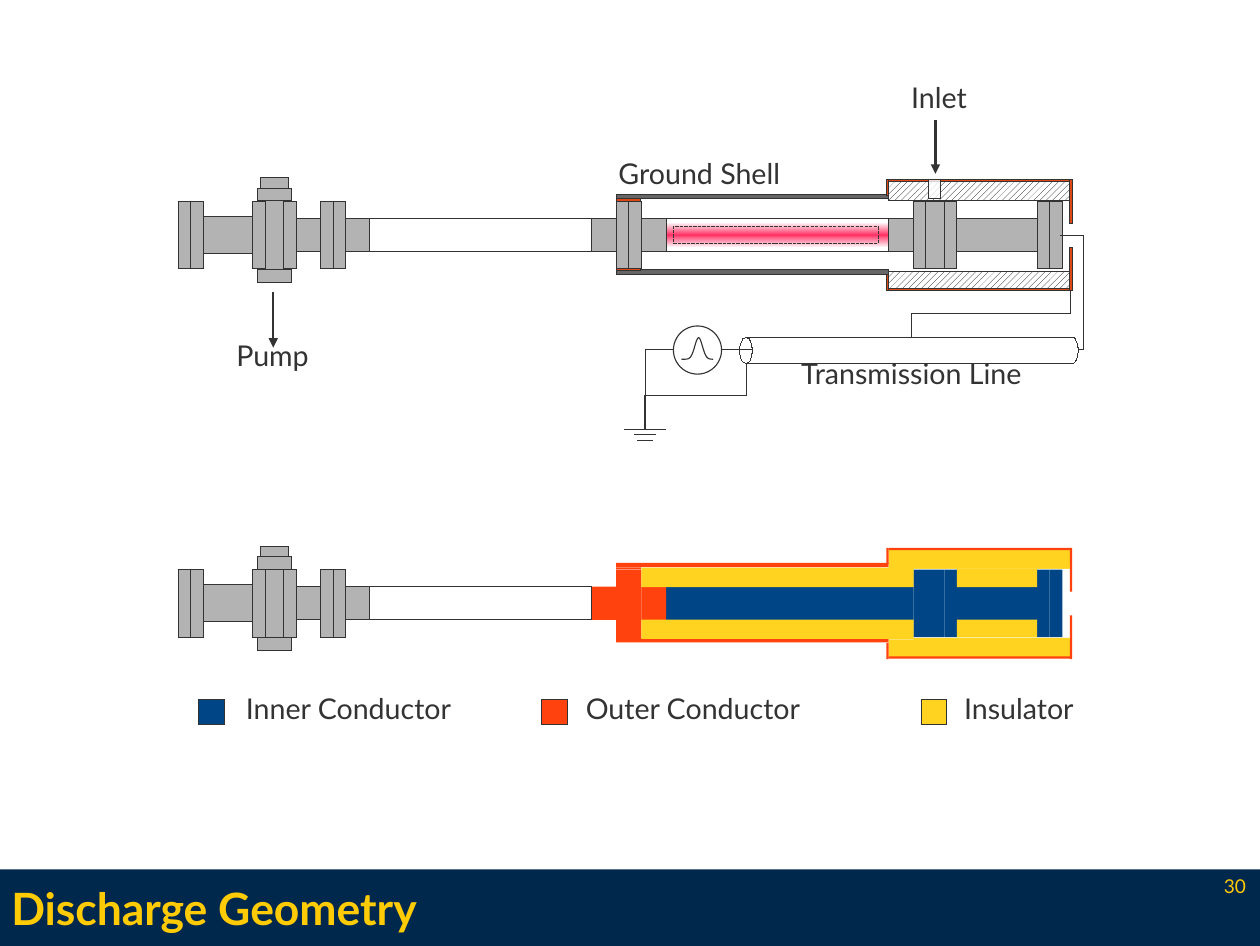
"""Draw the discharge geometry slide: tube, circuit and conductor map."""
import copy
import math
import pptx
import pptx.util
import pptx.dml.color
import pptx.enum.dml
import pptx.enum.shapes
import pptx.enum.text
from lxml import etree
from pptx.oxml.ns import qn

Cm, Pt = pptx.util.Cm, pptx.util.Pt
Rgb = pptx.dml.color.RGBColor.from_string
Kind = pptx.enum.shapes.MSO_SHAPE
Link = pptx.enum.shapes.MSO_CONNECTOR
Align = pptx.enum.text.PP_ALIGN
theme = dict(font="Lato", head=28, text=18, small=12, thin=0.71, bold=1.45,
             navy="00274C", gold="FFCB05", ink="333333", white="FFFFFF",
             steel="B3B3B3", shell="666666", rim="DD4814", glow="FF3366",
             inner="004586", outer="FF420E", fill="FFD320", black="000000")

deck = pptx.Presentation()
deck.slide_width, deck.slide_height = Cm(27.99), Cm(21.01)
slide = deck.slides.add_slide(deck.slide_layouts[5])
shapes = slide.shapes


def block(x, y, w, h, hue=None, edge=0, kind=Kind.RECTANGLE):
    shape = shapes.add_shape(kind, Cm(x), Cm(y), Cm(w), Cm(h))
    shape.shadow.inherit = False
    if hue:
        shape.fill.solid()
        shape.fill.fore_color.rgb = Rgb(theme[hue])
    else:
        shape.fill.background()
    if edge is None:
        shape.line.fill.background()
    else:
        shape.line.color.rgb = Rgb(theme["ink"])
        shape.line.width = Pt(edge)
    return shape


def label(text, x, y, w, h=1.42, align=Align.LEFT, size="text", hue="ink", pad=True):
    box = shapes.add_textbox(Cm(x), Cm(y), Cm(w), Cm(h))
    frame = box.text_frame
    frame.word_wrap = True
    if not pad:
        frame.margin_left = frame.margin_right = frame.margin_top = frame.margin_bottom = 0
    para = frame.paragraphs[0]
    para.text, para.alignment = text, align
    para.font.name, para.font.size = theme["font"], Pt(theme[size])
    para.font.color.rgb = Rgb(theme[hue])


band = block(0, 19.31, 27.99, 1.7, "navy", None)
shapes.element.insert(2, band.element)
title = shapes.title
title.left, title.top, title.width, title.height = Cm(0.25), Cm(19.31), Cm(23.11), Cm(1.7)
frame = title.text_frame
frame.margin_left = frame.margin_right = frame.margin_top = frame.margin_bottom = 0
frame.vertical_anchor = pptx.enum.text.MSO_ANCHOR.MIDDLE
para = frame.paragraphs[0]
para.text, para.alignment = "Discharge Geometry", Align.LEFT
para.font.name, para.font.size, para.font.bold = theme["font"], Pt(theme["head"]), True
para.font.color.rgb = Rgb(theme["gold"])

plasma = block(14.8, 4.85, 4.95, 0.74, "white")
plasma.fill.gradient()
plasma.fill.gradient_angle = 90
ramp = plasma.element.find(".//" + qn("a:gsLst"))
ramp.insert(1, copy.deepcopy(ramp[0]))
for stop, (place, hue) in zip(plasma.fill.gradient_stops,
                              ((0.12, "white"), (0.5, "glow"), (0.88, "white"))):
    stop.position = place
    stop.color.rgb = Rgb(theme[hue])

axis, drop = 5.22, 8.18
tube = (
    ("steel", 0.82, ((4.52, 1.09),)),
    ("steel", 0.74, ((6.58, 0.55), (7.66, 0.55))),
    ("outer", 0.74, ((13.14, 0.55), (14.25, 0.55))),
    ("inner", 0.74, ((19.74, 0.55), (21.26, 1.78))),
    (None, 0.74, ((8.2, 4.95),)),
    ("steel", 1.55, ((5.89, 0.41),)),
    ("steel", 1.5, [(x, 0.28) for x in (3.96, 4.24, 5.61, 6.3, 7.13, 7.4)]),
    ("outer", 1.5, ((13.69, 0.28), (13.97, 0.28))),
    ("inner", 1.5, ((20.29, 0.28), (20.57, 0.41), (20.98, 0.28),
                    (23.04, 0.28), (23.32, 0.28))),
)
stubs = ((5.73, 5.99, 0.74, 0.28), (5.73, 4.18, 0.74, 0.28), (5.79, 3.95, 0.61, 0.23))
shells = ((13.69, 4.32, 6.05, 0.1), (13.69, 5.99, 6.05, 0.1))
rims = ((13.69, 5.97, 0.55, 0.05), (13.69, 4.42, 0.55, 0.05),
        (19.74, 6.4, 4.04, 0.05), (19.74, 3.99, 4.04, 0.05),
        (19.69, 6.1, 0.05, 0.36), (19.69, 3.99, 0.05, 0.36),
        (23.77, 5.49, 0.05, 0.97), (23.77, 3.99, 0.05, 0.97))
for low in (False, True):
    shift = drop if low else 0
    edge = None if low else 0
    if low:
        block(14.8, 4.85 + drop, 4.95, 0.74, "inner", None)
    for role, tall, spans in tube:
        for x, wide in spans:
            hue = role if low or not role else "steel"
            block(x, axis + shift - tall / 2, wide, tall, hue,
                  edge if role in ("inner", "outer") else 0)
    for x, y, w, h in stubs:
        block(x, y + shift, w, h, "steel")
    for x, y, w, h in shells:
        block(x, y + shift, w, h, "outer" if low else "shell", edge)
    for y in (4.04, 6.02):
        ring = block(19.74, y + shift, 4.04, 0.41, "fill", edge)
        if not low:
            ring.fill.patterned()
            ring.fill.pattern = pptx.enum.dml.MSO_PATTERN.WIDE_UPWARD_DIAGONAL
            ring.fill.fore_color.rgb = Rgb(theme["black"])
            ring.fill.back_color.rgb = Rgb(theme["white"])
    for x, y, w, h in rims:
        block(x, y + shift, w, h, "outer" if low else "rim", edge)

for x, gap, w, h in ((14.25, 0.36, 6.05, 0.43), (20.29, 0.77, 3.48, 0.05),
                     (21.26, 0.36, 1.78, 0.4)):
    for y in (axis + drop + gap, axis + drop - gap - h):
        block(x, y, w, h, "fill", None)

vent = block(20.62, 3.99, 0.28, 0.43, "white")
clear = vent.element.spPr.find(".//" + qn("a:srgbClr"))
etree.SubElement(clear, qn("a:alpha"), val="80000")
zone = block(14.96, 5.03, 4.55, 0.38, None, theme["thin"])
zone.line.dash_style = pptx.enum.dml.MSO_LINE.SQUARE_DOT

wires = []
for x, top, end in ((6.07, 6.48, 7.72), (20.78, 2.67, 3.86)):
    wire = shapes.add_connector(Link.STRAIGHT, Cm(x), Cm(top), Cm(x), Cm(end))
    wires.append((wire, theme["bold"], True))
for y, half in ((9.53, 0.46), (9.65, 0.24), (9.78, 0.17)):
    wire = shapes.add_connector(Link.STRAIGHT, Cm(14.33 - half), Cm(y), Cm(14.33 + half), Cm(y))
    wires.append((wire, theme["thin"], False))
for x, y, w, h, turn, flip, bend in (
        (14.33, 7.77, 0.63, 1.76, 180, "V", None),
        (16, 5.23, 7.57, 2.54, 0, "V", 106600),
        (14.73, 7.67, 1.45, 2.26, 90, "HV", 50400),
        (21.51, 5.21, 1.02, 3.53, 90, "HV", 50000)):
    wire = shapes.add_connector(Link.ELBOW, Cm(x), Cm(y), Cm(x + w), Cm(y + h))
    form = wire.element.spPr.find(qn("a:xfrm"))
    form.set("rot", str(turn * 60000))
    for side in flip:
        form.set("flip" + side, "1")
    shape = wire.element.spPr.find(qn("a:prstGeom"))
    if bend:
        guide = shape.find(qn("a:avLst"))
        etree.SubElement(guide, qn("a:gd"), name="adj1", fmla=f"val {bend}")
    else:
        shape.set("prst", "bentConnector2")
    wires.append((wire, 0, False))
for wire, weight, arrow in wires:
    wire.line.color.rgb = Rgb(theme["ink"])
    wire.line.width = Pt(weight)
    if arrow:
        etree.SubElement(wire.element.spPr.find(qn("a:ln")), qn("a:tailEnd"), type="triangle")
    etree.SubElement(wire.element.spPr, qn("a:effectLst"))

block(14.96, 7.24, 1.07, 1.07, "white", theme["thin"], Kind.OVAL)
block(16.43, 7.49, 0.28, 0.58, None, 0, Kind.OVAL)
arc = [math.radians(a) for a in range(-90, 91, 10)]
cable = [(23.82 + 0.13 * math.cos(a), 7.78 + 0.29 * math.sin(a)) for a in arc]
cable += [(16.58 + 0.13 * math.cos(a), 7.78 + 0.29 * math.sin(a)) for a in reversed(arc)]
pulse = [(15.52 + i / 50, 7.98 - 0.48 * math.exp(-(i / 6) ** 2)) for i in range(-19, 17)]
for points, shut, weight in ((cable, True, 0), (pulse, False, theme["thin"])):
    pen = shapes.build_freeform(Cm(points[0][0]), Cm(points[0][1]))
    pen.add_line_segments([(Cm(x), Cm(y)) for x, y in points[1:]], close=shut)
    curve = pen.convert_to_shape()
    curve.shadow.inherit = False
    curve.line.color.rgb = Rgb(theme["ink"])
    curve.line.width = Pt(weight)
    if shut:
        curve.fill.solid()
        curve.fill.fore_color.rgb = Rgb(theme["white"])
    else:
        curve.fill.background()

label("Pump", 5, 7.37, 2.69)
label("Inlet", 19.99, 1.65, 2.21)
label("Ground Shell", 13.49, 3.33, 4.8)
label("Transmission Line", 17.07, 7.77, 6.35, align=Align.CENTER)
for text, x, left, wide, hue in (("Inner Conductor", 4.42, 4.85, 5.79, "inner"),
                                 ("Outer Conductor", 12.04, 12.4, 5.99, "outer"),
                                 ("Insulator", 20.47, 20.83, 3.61, "fill")):
    block(x, 15.54, 0.56, 0.56, hue)
    label(text, left, 15.21, wide, align=Align.CENTER)
label("30", 24.33, 19.43, 3.35, 0.69, Align.RIGHT, "small", "gold", False)

for line in slide.element.iter(qn("a:ln")):
    line.set("w", line.get("w", "0"))
deck.save("out.pptx")
